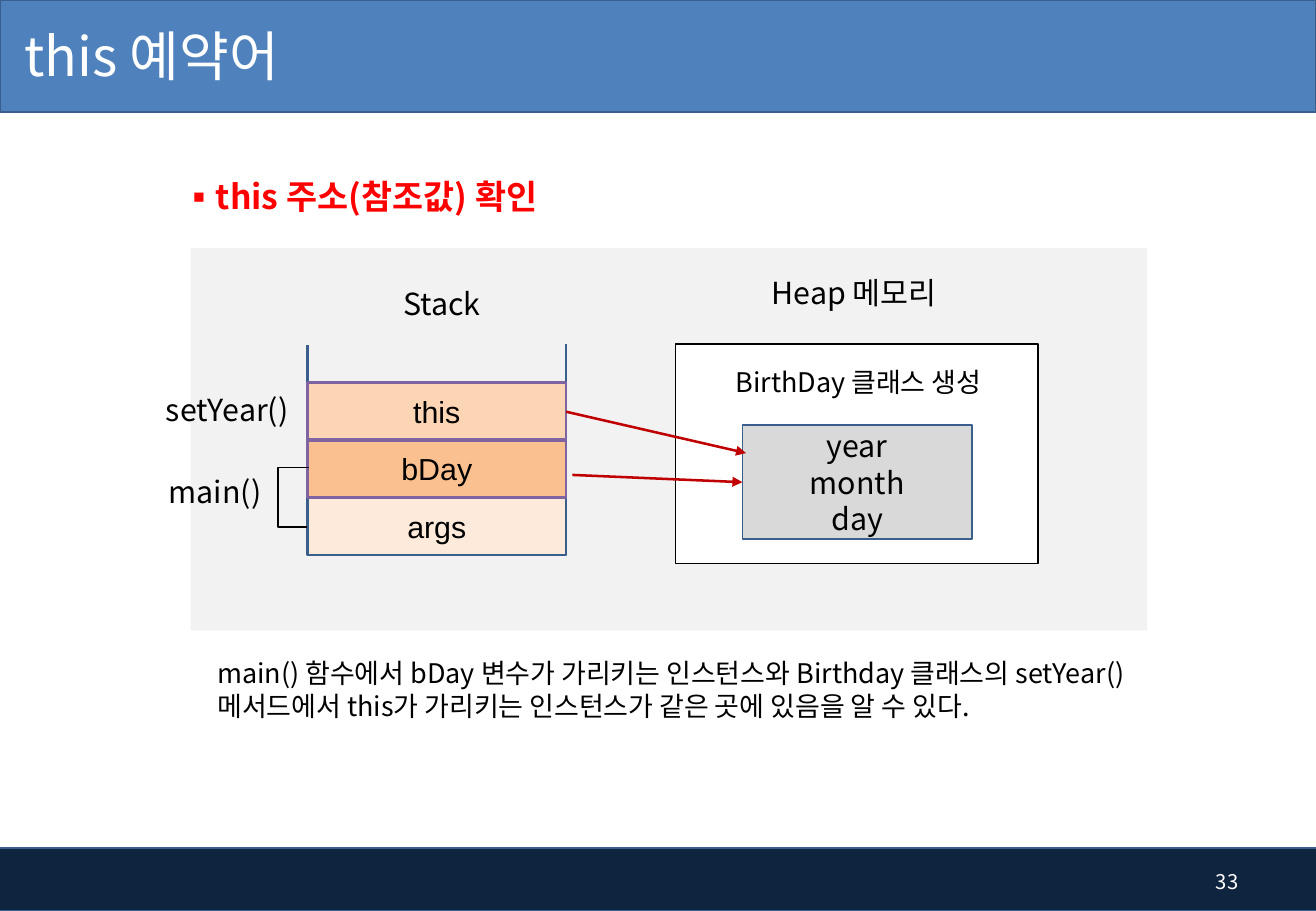
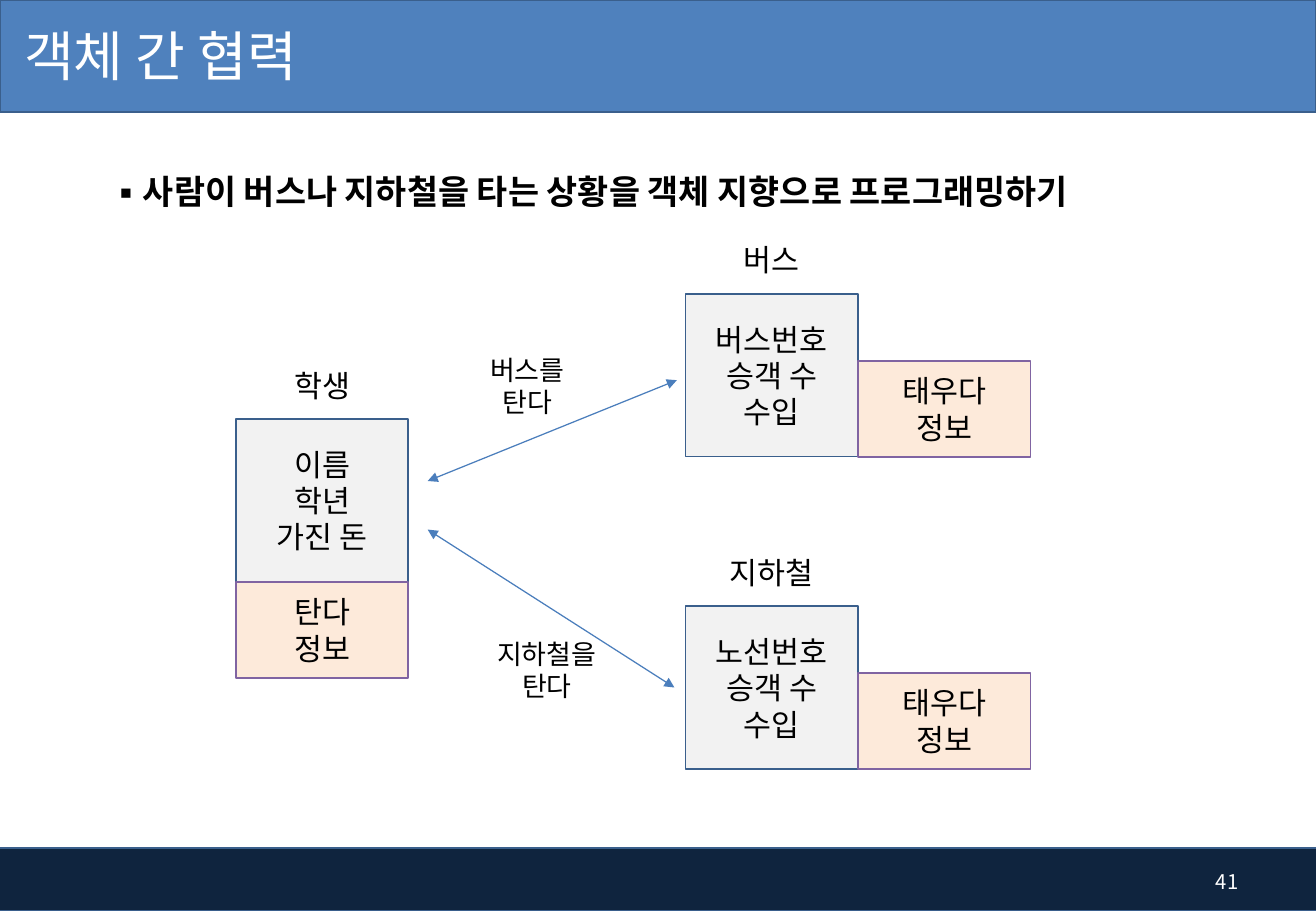
import lxml.etree
import pptx
import pptx.dml.color
import pptx.enum.shapes
import pptx.enum.text
import pptx.oxml.ns
import pptx.util

Inches = pptx.util.Inches
Pt = pptx.util.Pt
qn = pptx.oxml.ns.qn
ALIGN = pptx.enum.text.PP_ALIGN
ANCHOR = pptx.enum.text.MSO_ANCHOR

FONT = "Noto Sans CJK KR"
COLORS = {
    "white": "FFFFFF", "black": "000000", "red": "FF0000",
    "band": "4F81BD", "footer": "0F243E", "edge": "3A5F8C",
    "panel": "F2F2F2", "object": "D9D9D9", "purple": "8064A2",
    "peach": "FDEADA", "apricot": "FCD5B5", "orange": "FAC090",
    "pointer": "C00000", "arrow": "4B7EBC",
}
SLIDE_WIDTH, SLIDE_HEIGHT = 10.83, 7.5


def rgb(color):
    return pptx.dml.color.RGBColor.from_string(COLORS[color])


def text_format(size, color="black", name=FONT, bold=False):
    return {"size": Pt(size), "name": name, "bold": bold, "color": color}


LABEL = text_format(18)
CELL = text_format(18, name="Arial")
NOTE = text_format(16)


# Text
def write(shape, lines, style, align=ALIGN.CENTER, anchor=ANCHOR.MIDDLE,
          side_inset=0.1):
    frame = shape.text_frame
    settings = {"word_wrap": True, "vertical_anchor": anchor,
                "margin_left": Inches(side_inset),
                "margin_right": Inches(side_inset)}
    for attribute, value in settings.items():
        setattr(frame, attribute, value)
    for index, line in enumerate(lines):
        paragraph = frame.paragraphs[0] if index == 0 else frame.add_paragraph()
        paragraph.alignment = align
        run = paragraph.add_run()
        run.text = line
        for attribute, value in style.items():
            if attribute == "color":
                run.font.color.rgb = rgb(value)
            else:
                setattr(run.font, attribute, value)
        east_asian = lxml.etree.SubElement(run.font._element, qn("a:ea"))
        east_asian.set("typeface", FONT)


def add_text(slide, box, lines, style, **layout):
    shape = slide.shapes.add_textbox(*map(Inches, box))
    write(shape, lines, style, **layout)
    return shape


def add_label(slide, box, lines, style=LABEL):
    add_text(slide, box, lines, style, anchor=ANCHOR.TOP, side_inset=0)


def add_heading(slide, box, text, color, line_spacing=1.0):
    shape = add_text(slide, box, [text], text_format(20, color, bold=True),
                     align=ALIGN.LEFT, anchor=ANCHOR.TOP)
    paragraph = shape.text_frame.paragraphs[0]
    paragraph.line_spacing = line_spacing
    properties = paragraph._p.get_or_add_pPr()
    properties.set("marL", str(Inches(0.25)))
    properties.set("indent", str(Inches(-0.25)))
    lxml.etree.SubElement(properties, qn("a:buFont")).set("typeface", FONT)
    lxml.etree.SubElement(properties, qn("a:buChar")).set("char", "▪")


# Shapes and lines
def set_outline(shape, color, width):
    shape.line.color.rgb = rgb(color)
    shape.line.width = Pt(width)


def add_box(slide, box, fill, edge="edge", width=1, lines=(), style=LABEL):
    shape = slide.shapes.add_shape(
        pptx.enum.shapes.MSO_SHAPE.RECTANGLE, *map(Inches, box))
    shape.shadow.inherit = False
    shape.fill.solid()
    shape.fill.fore_color.rgb = rgb(fill)
    if edge:
        set_outline(shape, edge, width)
    else:
        shape.line.fill.background()
    if lines:
        write(shape, lines, style)


def add_open_outline(slide, points, color, width):
    start, *rest = [(Inches(x), Inches(y)) for x, y in points]
    builder = slide.shapes.build_freeform(*start)
    builder.add_line_segments(rest, close=False)
    shape = builder.convert_to_shape()
    shape.shadow.inherit = False
    shape.fill.background()
    set_outline(shape, color, width)


def add_arrow(slide, start, end, color, width, ends=("a:tailEnd",)):
    connector = slide.shapes.add_connector(
        pptx.enum.shapes.MSO_CONNECTOR.STRAIGHT, *map(Inches, start + end))
    set_outline(connector, color, width)
    properties = connector.element.spPr
    for tag in ends:
        arrowhead = lxml.etree.SubElement(properties.find(qn("a:ln")), qn(tag))
        arrowhead.set("type", "triangle")
    lxml.etree.SubElement(properties, qn("a:effectLst"))


# Shared slide frame
def add_slide(presentation, title, number):
    slide = presentation.slides.add_slide(presentation.slide_layouts[6])
    add_box(slide, (-0.04, 6.98, 10.88, 0.52), "footer")
    add_box(slide, (0, 0, SLIDE_WIDTH, 0.92), "band")
    add_text(slide, (0, -0.02, 6.78, 0.94), [title], text_format(32, "white"),
             align=ALIGN.LEFT, side_inset=0.2)
    add_text(slide, (9.68, 7.06, 0.61, 0.4), [str(number)],
             text_format(12, "white"), align=ALIGN.RIGHT)
    return slide


# Memory diagram
def add_stack(slide):
    left, width, height, bottom = 2.53, 2.13, 0.47, 4.57
    right = left + width
    cells = [("args", "peach", 1), ("bDay", "orange", 1.5),
             ("this", "apricot", 1.5)]
    for level, (name, fill, line_width) in enumerate(cells):
        top = bottom - height - level * 0.475
        add_box(slide, (left, top, width, height), fill, "purple", line_width,
                [name], CELL)
        if level == 0:
            add_open_outline(slide, [(left, 2.84), (left, bottom),
                                     (right, bottom), (right, 2.83)],
                             "edge", 1.5)
    add_label(slide, (3.21, 2.3, 0.85, 0.4), ["Stack"])
    add_label(slide, (1.24, 3.17, 1.26, 0.4), ["setYear()"])
    add_label(slide, (1.27, 3.85, 1, 0.4), ["main()"])
    add_open_outline(slide, [(2.54, 3.85), (2.29, 3.85), (2.29, 4.34),
                             (left, 4.34)], "black", 1)


def add_heap(slide):
    add_box(slide, (5.56, 2.83, 2.98, 1.81), "white", "black")
    add_box(slide, (6.11, 3.5, 1.89, 0.94), "object",
            lines=["year", "month", "day"])
    add_label(slide, (5.75, 2.96, 2.63, 0.37), ["BirthDay 클래스 생성"], NOTE)
    add_label(slide, (6.2, 2.21, 1.66, 0.4), ["Heap 메모리"])


def build_this_slide(presentation):
    slide = add_slide(presentation, "this 예약어", 33)
    add_heading(slide, (1.4, 1.23, 4.02, 0.56), "this 주소(참조값) 확인", "red", 1.5)
    add_box(slide, (1.57, 2.04, 7.87, 3.15), "panel", edge=None)
    add_stack(slide)
    add_heap(slide)
    add_arrow(slide, (4.66, 3.39), (6.14, 3.73), "pointer", 1.5)
    add_arrow(slide, (4.71, 3.91), (6.11, 3.97), "pointer", 1.5)
    add_text(slide, (1.69, 5.36, 7.7, 0.91),
             ["main() 함수에서 bDay 변수가 가리키는 인스턴스와 Birthday 클래스의 "
              "setYear() 메서드에서 this가 가리키는 인스턴스가 같은 곳에 있음을 알 수 있다."],
             NOTE, align=ALIGN.LEFT, anchor=ANCHOR.TOP)


# Collaborating objects
def add_object(slide, left, top, name, fields, methods, methods_below=False):
    width, fields_height, methods_height = 1.42, 1.34, 0.79
    bottom = top + fields_height
    add_label(slide, (left, top - 0.48, width, 0.4), [name])
    add_box(slide, (left, top, width, fields_height), "panel", lines=fields)
    corner = ((left, bottom) if methods_below
              else (left + width, bottom - methods_height))
    add_box(slide, (*corner, width, methods_height), "peach", "purple",
            lines=methods, style=CELL)


def build_collaboration_slide(presentation):
    slide = add_slide(presentation, "객체 간 협력", 41)
    add_heading(slide, (0.8, 1.36, 9.42, 0.58),
                "사람이 버스나 지하철을 타는 상황을 객체 지향으로 프로그래밍하기", "black")
    add_object(slide, 1.94, 3.45, "학생", ["이름", "학년", "가진 돈"],
               ["탄다", "정보"], methods_below=True)
    vehicles = [(2.42, "버스", "버스번호"), (4.99, "지하철", "노선번호")]
    for top, name, number_field in vehicles:
        add_object(slide, 5.64, top, name, [number_field, "승객 수", "수입"],
                   ["태우다", "정보"])
    rides = [((3.52, 3.96), (5.57, 3.13), (3.83, 2.86, 1.02, 0.64), "버스를"),
             ((3.52, 4.36), (5.55, 5.66), (3.91, 5.2, 1.18, 0.64), "지하철을")]
    for start, end, box, vehicle in rides:
        add_arrow(slide, start, end, "arrow", 0.75, ("a:headEnd", "a:tailEnd"))
        add_label(slide, box, [vehicle, "탄다"], NOTE)


def main():
    presentation = pptx.Presentation()
    presentation.slide_width = Inches(SLIDE_WIDTH)
    presentation.slide_height = Inches(SLIDE_HEIGHT)
    build_this_slide(presentation)
    build_collaboration_slide(presentation)
    presentation.save("out.pptx")


if __name__ == "__main__":
    main()
